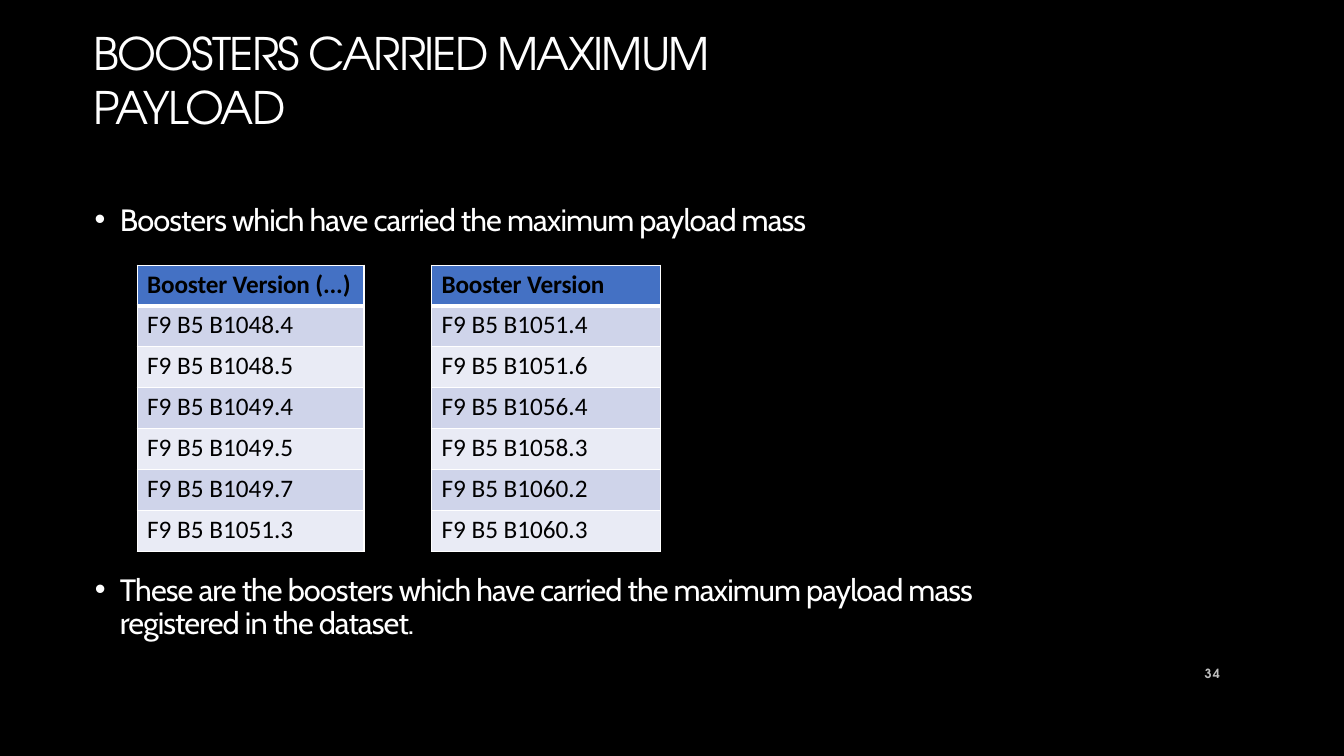
import dataclasses
import typing

import lxml.etree
import pptx
import pptx.dml.color
import pptx.enum.text
import pptx.oxml.ns
import pptx.util

Inches = pptx.util.Inches
Pt = pptx.util.Pt
Color = pptx.dml.color.RGBColor
Anchor = pptx.enum.text.MSO_ANCHOR
Align = pptx.enum.text.PP_ALIGN
qn = pptx.oxml.ns.qn


@dataclasses.dataclass(frozen=True)
class Theme:
    back: str = "000000"
    white: str = "FFFFFF"
    grey: str = "BFBFBF"
    ink: str = "000000"
    head: str = "4471C4"
    bands: tuple[str, str] = ("CFD4EA", "E9EBF5")
    title_font: str = "TeX Gyre Adventor"
    body_font: str = "Cabin"
    table_font: str = "Calibri"
    title_size: float = 32
    body_size: float = 22
    table_size: float = 18
    page_size: float = 9


THEME = Theme()


@dataclasses.dataclass(frozen=True)
class Style:
    font: str
    size: float
    color: str
    bold: bool = False
    track: float = 0


@dataclasses.dataclass(frozen=True)
class Label:
    text: str
    left: float
    top: float
    width: float
    height: float
    style: Style
    inset: float = 0.01
    before: float = 1
    line: float | None = None
    anchor: Anchor = Anchor.TOP
    align: Align = Align.LEFT
    bullet: bool = False


@dataclasses.dataclass(frozen=True)
class Listing:
    left: float
    width: float
    header: str
    items: tuple[str, ...]


TITLE = Style(THEME.title_font, THEME.title_size, THEME.white, track=-1.3)
BODY = Style(THEME.body_font, THEME.body_size, THEME.white, track=-0.65)
PAGE = Style(THEME.title_font, THEME.page_size, THEME.grey, True, 0.8)
HEAD = Style(THEME.table_font, THEME.table_size, THEME.ink, True, -0.1)
CELL = Style(THEME.table_font, THEME.table_size, THEME.ink)

LABELS = (
    Label("BOOSTERS CARRIED MAXIMUM PAYLOAD", 0.93, 0.46, 7.81, 0.65, TITLE,
          anchor=Anchor.MIDDLE),
    Label("Boosters which have carried the maximum payload mass",
          0.93, 1.98, 7.64, 0.39, BODY, bullet=True),
    Label("These are the boosters which have carried the maximum payload mass "
          "registered in the dataset.", 0.93, 5.65, 9.48, 0.73, BODY,
          inset=0.05, before=4, line=23.8, bullet=True),
    Label("34", 11.5, 6.43, 0.6, 0.4, PAGE, inset=0, before=0, line=18.4,
          anchor=Anchor.MIDDLE, align=Align.RIGHT),
)

TABLE_TOP = 2.63
ROW_HEIGHT = 2.84 / 7
TABLES = (
    Listing(1.36, 2.25, "Booster Version (...)",
            ("F9 B5 B1048.4", "F9 B5 B1048.5", "F9 B5 B1049.4",
             "F9 B5 B1049.5", "F9 B5 B1049.7", "F9 B5 B1051.3")),
    Listing(4.28, 2.27, "Booster Version",
            ("F9 B5 B1051.4", "F9 B5 B1051.6", "F9 B5 B1056.4",
             "F9 B5 B1058.3", "F9 B5 B1060.2", "F9 B5 B1060.3")),
)


def write(para: typing.Any, text: str, style: Style) -> None:
    para.text = text
    for run in para.runs:
        run.font.name = style.font
        run.font.size = Pt(style.size)
        run.font.bold = style.bold
        run.font.color.rgb = Color.from_string(style.color)
        run.font._element.set("spc", str(round(style.track * 100)))


def add_bullet(para: typing.Any) -> None:
    props = para._p.get_or_add_pPr()
    props.set("marL", str(Inches(0.26)))
    props.set("indent", str(Inches(-0.25)))
    font = lxml.etree.SubElement(props, qn("a:buFont"))
    font.set("typeface", "Arial")
    mark = lxml.etree.SubElement(props, qn("a:buChar"))
    mark.set("char", "•")


def add_label(slide: typing.Any, label: Label) -> None:
    box = slide.shapes.add_textbox(Inches(label.left), Inches(label.top),
                                   Inches(label.width), Inches(label.height))
    frame = box.text_frame
    frame.word_wrap = True
    frame.auto_size = pptx.enum.text.MSO_AUTO_SIZE.SHAPE_TO_FIT_TEXT
    frame.vertical_anchor = label.anchor
    frame.margin_left = frame.margin_right = frame.margin_bottom = 0
    frame.margin_top = Inches(label.inset)
    para = frame.paragraphs[0]
    write(para, label.text, label.style)
    para.alignment = label.align
    para.space_before = Pt(label.before)
    if label.line:
        para.line_spacing = Pt(label.line)
    if label.bullet:
        add_bullet(para)


def add_edge(cell: typing.Any, side: str, width: float) -> None:
    props = cell._tc.get_or_add_tcPr()
    edge = lxml.etree.SubElement(props, qn(f"a:ln{side}"), w=str(Pt(width)))
    fill = lxml.etree.SubElement(edge, qn("a:solidFill"))
    lxml.etree.SubElement(fill, qn("a:srgbClr"), val=THEME.white)


def add_listing(slide: typing.Any, listing: Listing) -> None:
    texts = (listing.header, *listing.items)
    frame = slide.shapes.add_table(
        len(texts), 1, Inches(listing.left), Inches(TABLE_TOP),
        Inches(listing.width), Inches(ROW_HEIGHT * len(texts)))
    table = frame.table
    for row, text in enumerate(texts):
        table.rows[row].height = Inches(ROW_HEIGHT)
        cell = table.cell(row, 0)
        cell.margin_left, cell.margin_top = Inches(0.1), Inches(0.04)
        cell.margin_right = cell.margin_bottom = 0
        para = cell.text_frame.paragraphs[0]
        write(para, text, CELL if row else HEAD)
        para.space_before = Pt(2.7)
        # A thick rule parts the header from the items
        for side, thick in (("L", False), ("R", False),
                            ("T", row == 1), ("B", row == 0)):
            add_edge(cell, side, 3 if thick else 1)
        shade = THEME.bands[(row - 1) % 2] if row else THEME.head
        cell.fill.solid()
        cell.fill.fore_color.rgb = Color.from_string(shade)


def main() -> None:
    deck = pptx.Presentation()
    deck.slide_width, deck.slide_height = Inches(13.33), Inches(7.5)
    slide = deck.slides.add_slide(deck.slide_layouts[6])
    # Background
    slide.background.fill.solid()
    slide.background.fill.fore_color.rgb = Color.from_string(THEME.back)
    # Title, bullets and page number
    for label in LABELS:
        add_label(slide, label)
    # Booster tables
    for listing in TABLES:
        add_listing(slide, listing)
    deck.save("out.pptx")


if __name__ == "__main__":
    main()
